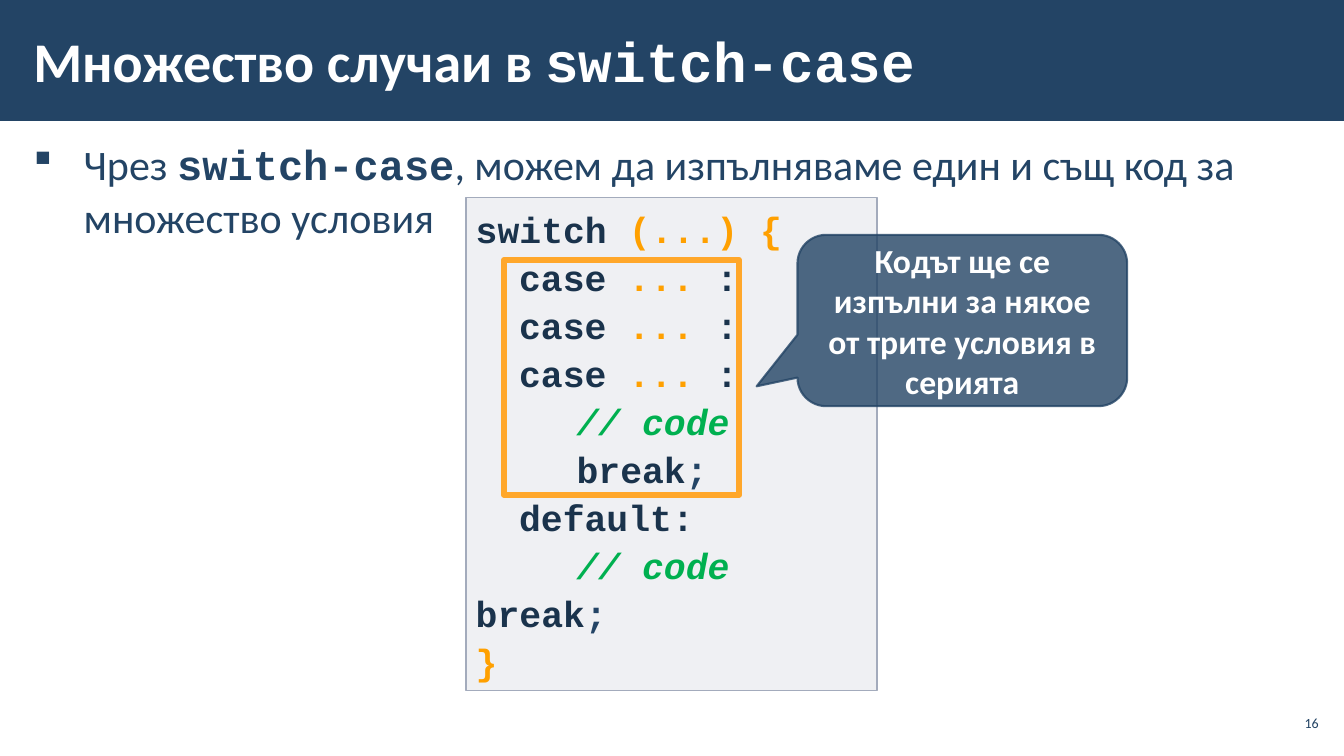
import dataclasses

import pptx
import pptx.dml.color
import pptx.enum.shapes
import pptx.enum.text
import pptx.oxml
import pptx.oxml.ns
import pptx.util

Inches = pptx.util.Inches
Pt = pptx.util.Pt
Shapes = pptx.enum.shapes.MSO_SHAPE
Align = pptx.enum.text.PP_ALIGN
Anchor = pptx.enum.text.MSO_ANCHOR


@dataclasses.dataclass(frozen=True)
class Theme:
    """Colours, fonts and type sizes of the slide."""
    navy: str = "234465"
    white: str = "FFFFFF"
    keyword: str = "1A334C"
    accent: str = "FFA000"
    comment: str = "00B050"
    frame: str = "FFA72A"
    code_fill: str = "C2C7D2"
    code_line: str = "A3ABBC"
    sans: str = "Calibri"
    mono: str = "Courier New"
    title: int = 40
    body: int = 30
    code: int = 26
    callout: int = 24
    number: int = 10


THEME = Theme()
CASE = (0.43, [("case ", THEME.keyword), ("... ", THEME.accent), (":", THEME.keyword)])
COMMENT = (1, [("// code", THEME.comment)])
BREAK = [("break", THEME.keyword), (";", THEME.navy)]
CODE_LINES = [
    (0, [("switch ", THEME.keyword), ("(...) {", THEME.accent)]),
    CASE, CASE, CASE,
    COMMENT,
    (1, BREAK),
    (0.43, [("default:", THEME.keyword)]),
    COMMENT,
    (0, BREAK),
    (0, [("}", THEME.accent)]),
]


def rgb(value):
    """Return the colour for a hexadecimal string."""
    return pptx.dml.color.RGBColor.from_string(value)


def place(shape, box):
    """Move and size a shape to a box in inches."""
    shape.left, shape.top, shape.width, shape.height = map(Inches, box)


def add_run(paragraph, text, font, size, color, bold=False, italic=False):
    """Append one formatted run to a paragraph."""
    run = paragraph.add_run()
    run.text = text
    run.font.name, run.font.size = font, Pt(size)
    run.font.bold, run.font.italic = bold, italic
    run.font.color.rgb = rgb(color)


def set_frame(shape, anchor, horizontal=0.1, vertical=0.05):
    """Set wrapping, anchor and insets, and return the text frame."""
    frame = shape.text_frame
    frame.word_wrap = True
    frame.auto_size = pptx.enum.text.MSO_AUTO_SIZE.NONE
    frame.vertical_anchor = anchor
    frame.margin_left = frame.margin_right = Inches(horizontal)
    frame.margin_top = frame.margin_bottom = Inches(vertical)
    return frame


def set_indent(paragraph, left, first=0):
    """Set the left margin and first-line indent in inches."""
    properties = paragraph._p.get_or_add_pPr()
    properties.set("marL", str(Inches(left)))
    properties.set("indent", str(Inches(first)))
    return properties


def set_alpha(color_format_parent, percent):
    """Make the solid colour below an element partly transparent."""
    for color in color_format_parent.findall(".//" + pptx.oxml.ns.qn("a:srgbClr")):
        alpha = color.makeelement(pptx.oxml.ns.qn("a:alpha"), {"val": str(percent * 1000)})
        color.append(alpha)


def add_box(slide, preset, box, fill=None, line=None, width=1):
    """Add a preset shape with optional fill and line."""
    shape = slide.shapes.add_shape(preset, *map(Inches, box))
    shape.shadow.inherit = False
    if fill:
        shape.fill.solid()
        shape.fill.fore_color.rgb = rgb(fill)
    else:
        shape.fill.background()
    if line:
        shape.line.color.rgb = rgb(line)
        shape.line.width = Pt(width)
    else:
        shape.line.fill.background()
    return shape


def build_header(slide, box):
    """Draw the band and set the title inside it."""
    left, top, width, height = box
    title = slide.shapes.title
    band = add_box(slide, Shapes.RECTANGLE, box, THEME.navy)
    title.element.addprevious(band.element)
    place(title, (left + 0.21, top + 0.11, 10.39, height - 0.23))
    paragraph = set_frame(title, Anchor.MIDDLE, 0.12, 0.04).paragraphs[0]
    paragraph.alignment = Align.LEFT
    add_run(paragraph, "Множество случаи в ", THEME.sans, THEME.title, THEME.white, True)
    add_run(paragraph, "switch-case", THEME.mono, THEME.title, THEME.white, True)


def build_body(slide, box):
    """Set the bullet text in the body placeholder."""
    body = slide.placeholders[1]
    place(body, box)
    paragraph = set_frame(body, Anchor.TOP, 0.12, 0.04).paragraphs[0]
    paragraph.line_spacing = 1.05
    paragraph.space_before = paragraph.space_after = Pt(6)
    properties = set_indent(paragraph, 0.5, -0.5)
    for tag, key, value in (("a:buFont", "typeface", "Wingdings"), ("a:buChar", "char", "§")):
        properties.append(properties.makeelement(pptx.oxml.ns.qn(tag), {key: value}))
    for text, font, bold in (
        ("Чрез ", THEME.sans, False),
        ("switch-case", THEME.mono, True),
        (", можем да изпълняваме един и същ код за множество условия", THEME.sans, False),
    ):
        add_run(paragraph, text, font, THEME.body, THEME.navy, bold)


def build_code(slide, box):
    """Draw the code panel and the frame around its case series."""
    left, top, width, height = box
    panel = add_box(slide, Shapes.RECTANGLE, box, THEME.code_fill, THEME.code_line)
    set_alpha(panel.element.spPr.find(pptx.oxml.ns.qn("a:solidFill")), 25)
    frame = set_frame(panel, Anchor.TOP)
    for index, (indent, parts) in enumerate(CODE_LINES):
        paragraph = frame.add_paragraph() if index else frame.paragraphs[0]
        paragraph.alignment = Align.LEFT
        paragraph.line_spacing = 1.1
        set_indent(paragraph, indent)
        for text, color in parts:
            add_run(paragraph, text, THEME.mono, THEME.code, color, True, color == THEME.comment)
    add_box(slide, Shapes.RECTANGLE, (left + 0.38, top + 0.62, 2.33, 2.33),
            line=THEME.frame, width=4.5)


def build_callout(slide, box):
    """Draw the explanation balloon."""
    balloon = add_box(slide, Shapes.ROUNDED_RECTANGULAR_CALLOUT, box,
                      THEME.navy, THEME.navy, 1.5)
    for index, value in enumerate((-0.624, 0.384, 0.167)):
        balloon.adjustments[index] = round(value, 3)
    set_alpha(balloon.element.spPr, 80)
    paragraph = set_frame(balloon, Anchor.MIDDLE).paragraphs[0]
    paragraph.alignment = Align.CENTER
    add_run(paragraph, "Кодът ще се изпълни за някое от трите условия в серията",
            THEME.sans, THEME.callout, THEME.white, True)


def build_number(slide, box):
    """Write the slide number."""
    number = slide.shapes.add_textbox(*map(Inches, box))
    paragraph = set_frame(number, Anchor.MIDDLE, 0.04, 0.04).paragraphs[0]
    paragraph.alignment = Align.RIGHT
    add_run(paragraph, "16", THEME.sans, THEME.number, THEME.navy)


def main():
    """Build and save the presentation."""
    presentation = pptx.Presentation()
    presentation.slide_width, presentation.slide_height = Inches(13.33), Inches(7.5)
    slide = presentation.slides.add_slide(presentation.slide_layouts[1])
    build_header(slide, (0, 0, 13.33, 1.2))
    build_body(slide, (0.21, 1.31, 12.92, 5.69))
    build_number(slide, (12.65, 7, 0.47, 0.34))
    build_code(slide, (4.62, 1.96, 4.08, 4.89))
    build_callout(slide, (7.91, 2.33, 3.27, 1.7))
    presentation.save("out.pptx")


if __name__ == "__main__":
    main()
